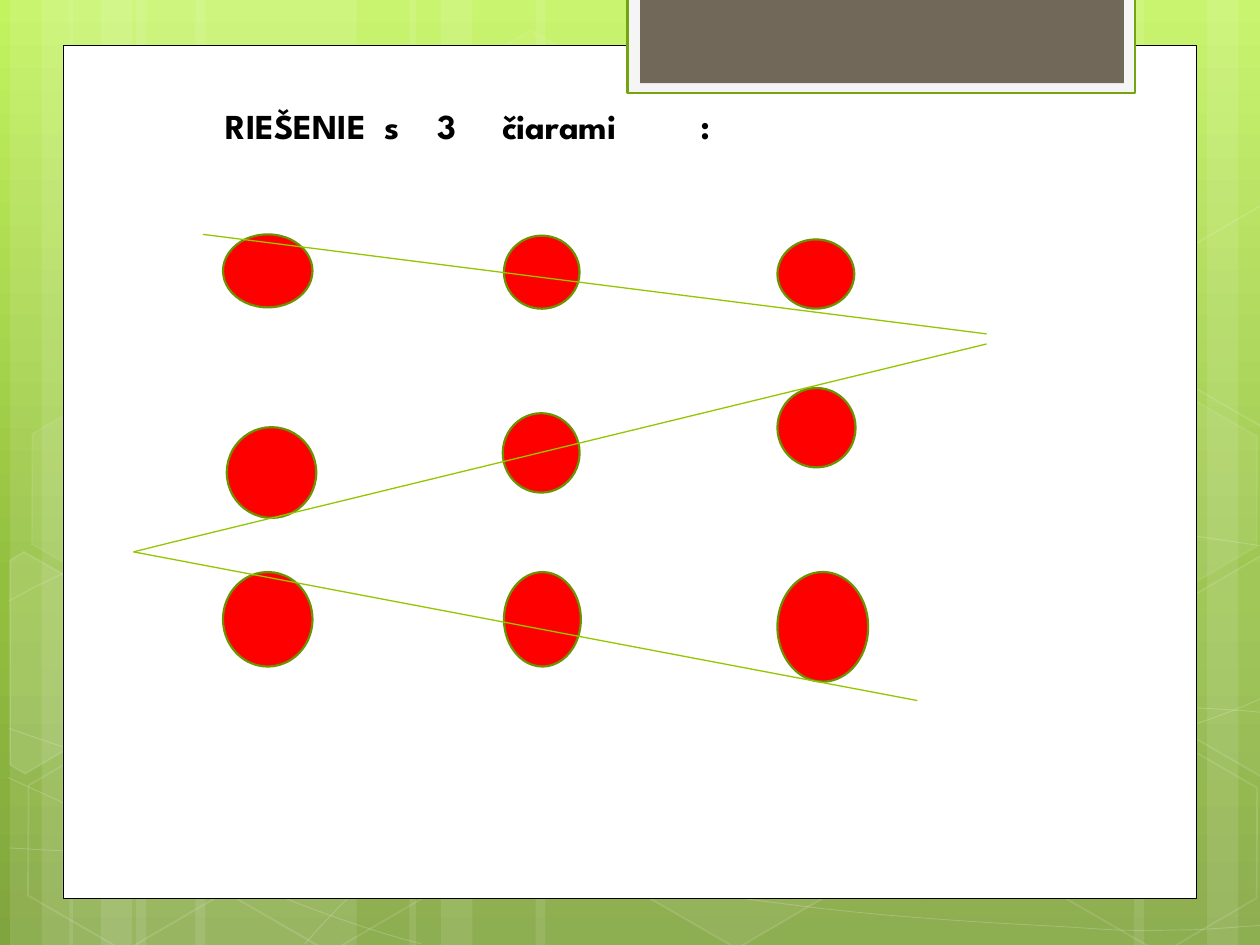
from copy import deepcopy
from dataclasses import dataclass
from typing import Optional

from pptx import Presentation
from pptx.dml.color import RGBColor
from pptx.enum.shapes import MSO_CONNECTOR, MSO_SHAPE
from pptx.enum.text import MSO_ANCHOR
from pptx.oxml.ns import qn
from pptx.oxml.xmlchemy import OxmlElement
from pptx.util import Inches, Pt

RECTANGLE, OVAL, HEXAGON = MSO_SHAPE.RECTANGLE, MSO_SHAPE.OVAL, MSO_SHAPE.HEXAGON
STRAIGHT, BOTTOM = MSO_CONNECTOR.STRAIGHT, MSO_ANCHOR.BOTTOM

WHITE = RGBColor(0xFF, 0xFF, 0xFF)
BLACK = RGBColor(0, 0, 0)
RED = RGBColor(0xFF, 0, 0)
DOT_EDGE = RGBColor(0x6D, 0x92, 0x00)
LINE_GREEN = RGBColor(0x94, 0xC6, 0x00)
TAB_EDGE = RGBColor(0x74, 0xA5, 0x10)
TAB_LIGHT = RGBColor(0xF5, 0xF5, 0xF5)
TAB_BROWN = RGBColor(0x71, 0x68, 0x5A)
SKY = ((0, RGBColor(0xC3, 0xF3, 0x5F)), (0.62, RGBColor(0x93, 0xBF, 0x3F)),
       (1, RGBColor(0x81, 0xA5, 0x3E)))

# The page is a grid of 10 columns by 7.5 rows, each one inch
COLUMNS, ROWS = 10, 7.5
UNITS_PER_INCH = 1000
FONT = "League Spartan"


@dataclass(frozen=True)
class Paint:
    fill: Optional[RGBColor] = None
    fill_alpha: int = 100
    line: Optional[RGBColor] = None
    width: float = 1
    line_alpha: int = 100


@dataclass(frozen=True)
class Dot:
    column: int
    row: int
    width: float
    height: float
    right: float = 0
    down: float = 0


@dataclass(frozen=True)
class Curve:
    """A start point, then cubic segments of three points; one point may end a straight part."""
    points: tuple
    straight_to: Optional[int] = None


STRIPES = ((1.08, 1.75), (0.08, 0.5), (0.33, 0.83), (1.55, 1.75), (0.55, 0.5), (0.8, 0.83),
           (7.33, 1.75), (9.58, 0.5), (9, 0.83), (4.25, 3.08), (3.25, 0.5), (3.5, 0.83))

CURVES = (
    Curve(((0.07, 6.73), (0.61, 6.76), (1.15, 6.79), (1.9, 6.78), (2.65, 6.77), (3.58, 6.75),
           (4.58, 6.65), (5.58, 6.55), (7, 6.36), (7.92, 6.17), (8.83, 5.98), (9.77, 5.68),
           (10.07, 5.51))),
    Curve(((0.07, 4.77), (0.36, 4.61), (0.65, 4.46), (1.21, 4.31), (1.78, 4.16), (2.59, 3.94),
           (3.47, 3.87), (4.36, 3.8), (5.44, 3.79), (6.54, 3.87), (7.64, 3.95), (9.47, 4.26),
           (10.07, 4.34))),
    Curve(((0.06, 6.17), (1.27, 6.72), (2.47, 7.27), (3.34, 7.49))),
    Curve(((0.07, 5.78), (0.38, 5.89), (0.7, 6), (1.28, 6.16), (1.86, 6.31), (2.73, 6.56),
           (3.57, 6.73), (4.4, 6.9), (5.45, 7.08), (6.28, 7.18), (7.11, 7.29), (8, 7.33),
           (8.53, 7.36), (9.05, 7.4), (9.19, 7.38), (9.45, 7.38), (9.71, 7.37), (9.89, 7.35),
           (10.07, 7.34))),
    Curve(((2.42, 7.49), (2.6, 7.29), (2.78, 7.09), (3.02, 6.91), (3.26, 6.73), (3.6, 6.53),
           (3.88, 6.39), (4.16, 6.25), (4.33, 6.19), (4.7, 6.09), (5.06, 5.99), (5.73, 5.85),
           (6.08, 5.78), (6.44, 5.71), (6.49, 5.71), (6.8, 5.69), (7.11, 5.66), (7.6, 5.63),
           (7.94, 5.62), (8.29, 5.61), (8.86, 5.62), (8.86, 5.62), (9.53, 5.62), (9.71, 5.63),
           (9.88, 5.64), (9.97, 5.65), (10.06, 5.66), (10.03, 5.65), (10.06, 5.66)),
          straight_to=22),
)

# Hexagons: left, top, fill opacity, line opacity
HEXAGONS = ((3.34, 0.36, 4, 8), (4.97, 5.89, 6, 12), (0.11, 5.91, 0, 12), (0.14, 3.12, 7, 8),
            (1.74, 5.92, 0, 12), (8.34, 5.93, 0, 12), (8.34, 3.14, 7, 8))

# Hexagons cut by the page edge: fill opacity and corners
CUT_HEXAGONS = (
    (10, ((0.08, 4.45), (0.19, 4.38), (0.96, 4.82), (0.95, 5.7), (0.2, 6.14), (0.08, 6.07))),
    (4, ((9.26, 4.85), (10.01, 4.41), (10.09, 4.46), (10.09, 6.13), (10.02, 6.17),
         (9.26, 5.73))),
    (0, ((9.26, 2.07), (10.01, 1.63), (10.1, 1.68), (10.09, 3.35), (10.02, 3.39),
         (9.26, 2.95))),
)

DOT_COLUMNS, DOT_ROWS = (1.77, 4, 6.17), (1.86, 3.08, 4.54)
DOTS = (Dot(0, 0, 0.71, 0.58), Dot(1, 0, 0.6, 0.58, down=0.01),
        Dot(2, 0, 0.61, 0.55, down=0.04),
        Dot(0, 1, 0.71, 0.72, 0.03, 0.31), Dot(1, 1, 0.61, 0.63, -0.01, 0.2),
        Dot(2, 1, 0.62, 0.63),
        Dot(0, 2, 0.71, 0.75), Dot(1, 2, 0.61, 0.75), Dot(2, 2, 0.72, 0.87))

STROKES = (((1.38, 4.3), (7.83, 2.73)), ((1.61, 1.86), (7.83, 2.65)),
           ((1.38, 4.3), (1.06, 4.38)), ((1.06, 4.38), (7.28, 5.56)))

TITLE_WORDS = ("RIEŠENIE", "s", "3", "čiarami", ":")
TITLE_TABS = (1.26, 1.68, 2.2, 3.77)


def set_alpha(holder, percent: int) -> None:
    if percent < 100:
        for color in holder.iter(qn("a:srgbClr")):
            alpha = OxmlElement("a:alpha")
            alpha.set("val", str(percent * 1000))
            color.append(alpha)


def apply_paint(shape, paint: Paint) -> None:
    shape.shadow.inherit = False
    properties = shape._element.spPr
    if paint.fill is None or paint.fill_alpha == 0:
        shape.fill.background()
    else:
        shape.fill.solid()
        shape.fill.fore_color.rgb = paint.fill
        set_alpha(properties.find(qn("a:solidFill")), paint.fill_alpha)
    if paint.line is None:
        shape.line.fill.background()
    else:
        shape.line.color.rgb = paint.line
        shape.line.width = Pt(paint.width)
        set_alpha(properties.find(qn("a:ln")), paint.line_alpha)


def add_preset(page, kind, left: float, top: float, width: float, height: float, paint: Paint):
    shape = page.shapes.add_shape(kind, *map(Inches, (left, top, width, height)))
    apply_paint(shape, paint)
    return shape


def add_outline(page, points, closed: bool, paint: Paint):
    start, *rest = [(x * UNITS_PER_INCH, y * UNITS_PER_INCH) for x, y in points]
    builder = page.shapes.build_freeform(*start, scale=Inches(1) / UNITS_PER_INCH)
    builder.add_line_segments(rest, close=closed)
    shape = builder.convert_to_shape()
    apply_paint(shape, paint)
    return shape


def add_curve(page, curve: Curve, paint: Paint) -> None:
    shape = add_outline(page, curve.points, False, paint)
    steps = list(shape._element.iter(qn("a:lnTo")))
    if curve.straight_to is not None:
        del steps[curve.straight_to - 1]
    # Every three steps become one cubic segment
    for first, second, third in zip(steps[::3], steps[1::3], steps[2::3]):
        cubic = OxmlElement("a:cubicBezTo")
        first.addprevious(cubic)
        for step in (first, second, third):
            cubic.append(step[0])
            step.getparent().remove(step)


def add_backdrop(page) -> None:
    fill = page.background.fill
    fill.gradient()
    fill.gradient_angle = 270
    stops = next(page._element.iter(qn("a:gsLst")))
    stops.insert(1, deepcopy(stops[0]))
    for stop, (position, color) in zip(fill.gradient_stops, SKY):
        stop.position = position
        stop.color.rgb = color
    for left, width in STRIPES:
        add_preset(page, RECTANGLE, left, 0, width, ROWS, Paint(WHITE, 10))
    for curve in CURVES:
        add_curve(page, curve, Paint(line=WHITE, width=0.5, line_alpha=20))
    for left, top, fill_alpha, line_alpha in HEXAGONS:
        hexagon = add_preset(page, HEXAGON, left, top, 1.75, 1.52,
                             Paint(WHITE, fill_alpha, WHITE, 1, line_alpha))
        hexagon.adjustments[0], hexagon.adjustments[1] = 0.285, 1.155
        hexagon.rotation = 30
    for fill_alpha, corners in CUT_HEXAGONS:
        add_outline(page, corners, True, Paint(WHITE, fill_alpha, WHITE, 1, 12))


def add_title(page) -> None:
    box = page.shapes.add_textbox(*map(Inches, (1.69, 0.68, 8.31, 0.87)))
    frame = box.text_frame
    frame.word_wrap = True
    frame.vertical_anchor = BOTTOM
    frame.margin_bottom = Inches(0.39)
    para = frame.paragraphs[0]
    tabs = OxmlElement("a:tabLst")
    for position in TITLE_TABS:
        tab = OxmlElement("a:tab")
        tab.set("pos", str(Inches(position)))
        tab.set("algn", "l")
        tabs.append(tab)
    para._p.get_or_add_pPr().append(tabs)
    span = para.add_run()
    span.text = "\t".join(TITLE_WORDS)
    span.font.name, span.font.size, span.font.bold = FONT, Pt(20), True
    span.font.color.rgb = BLACK


def add_stroke(page, start, end) -> None:
    stroke = page.shapes.add_connector(STRAIGHT, *map(Inches, (*start, *end)))
    stroke.line.color.rgb = LINE_GREEN
    stroke.line.width = Pt(0.75)
    stroke._element.spPr.append(OxmlElement("a:effectLst"))


def main() -> None:
    deck = Presentation()
    deck.slide_width, deck.slide_height = Inches(COLUMNS), Inches(ROWS)
    page = deck.slides.add_slide(deck.slide_layouts[6])
    add_backdrop(page)
    # White panel and the tab hanging from the top edge
    add_preset(page, RECTANGLE, 0.5, 0.36, 9, 6.77, Paint(WHITE, line=BLACK, width=0.5))
    add_preset(page, RECTANGLE, 4.98, -0.02, 4.03, 0.76,
               Paint(TAB_LIGHT, line=TAB_EDGE, width=1.25))
    add_preset(page, RECTANGLE, 5.08, -0.02, 3.84, 0.68, Paint(TAB_BROWN))
    # Nine dots, the title, and the lines crossing the dots
    for dot in DOTS:
        add_preset(page, OVAL, DOT_COLUMNS[dot.column] + dot.right, DOT_ROWS[dot.row] + dot.down,
                   dot.width, dot.height, Paint(RED, line=DOT_EDGE, width=1.25))
    add_title(page)
    for start, end in STROKES:
        add_stroke(page, start, end)
    deck.save("out.pptx")


if __name__ == "__main__":
    main()
